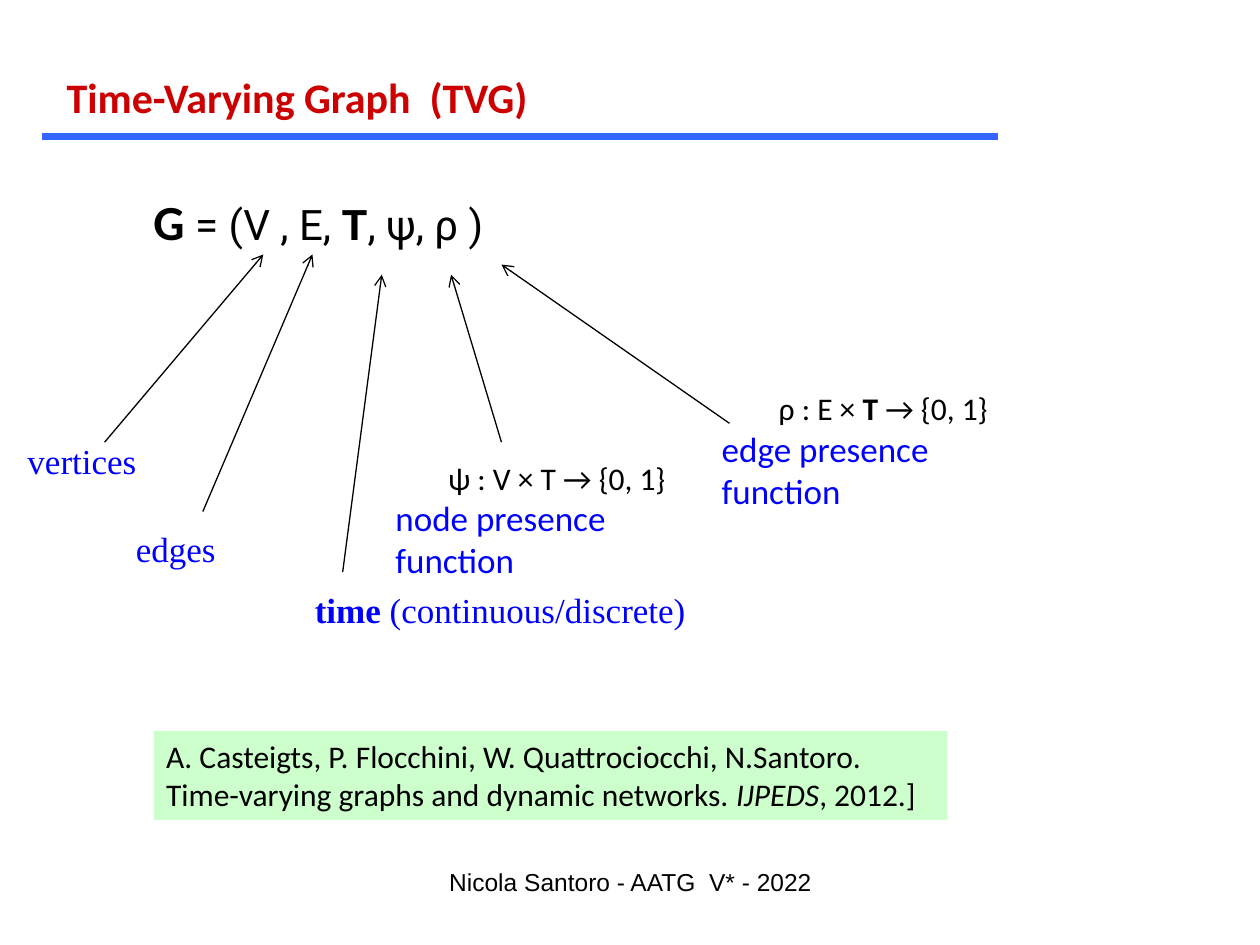
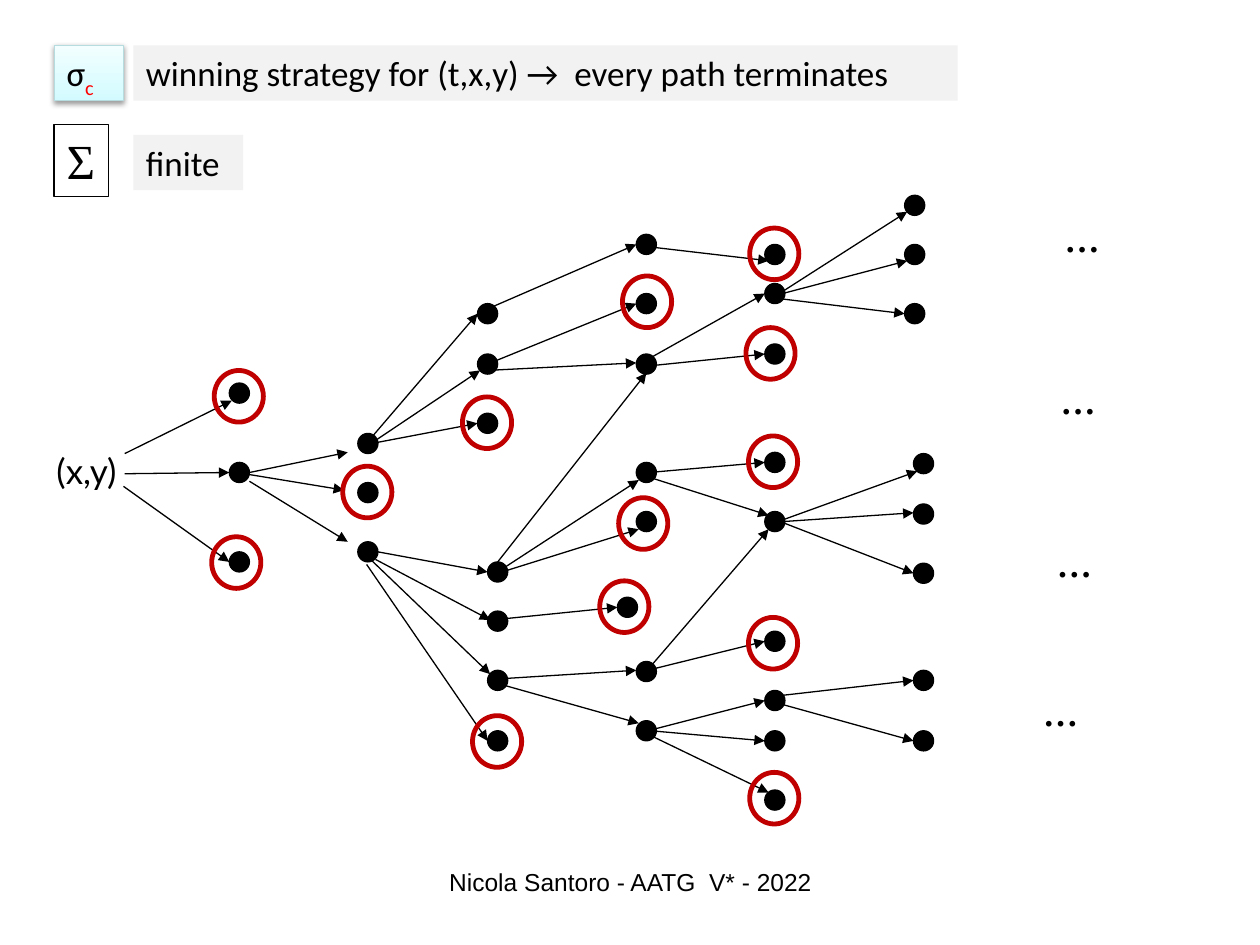
from lxml import etree
from pptx import Presentation
from pptx import util as u
from pptx.dml.color import RGBColor
from pptx.enum import shapes, text
from pptx.oxml import ns

PX = 9144  # EMU in one px, 100 px to the inch
COLORS = {
    "ink": "000000", "title": "CC0000", "rule": "3366FF", "label": "0000FF",
    "citation": "CCFFCC", "panel": "F2F2F2", "ring": "C00000", "subscript": "FF0000",
    "badge_low": "D3FBFF", "badge_high": "F2FEFF", "badge_edge": "B6DCDF",
}
FOOTER = "Nicola Santoro - AATG  V* - 2022"
LEFT, CENTER = text.PP_ALIGN.LEFT, text.PP_ALIGN.CENTER
DOT = 16
RING_WIDTH, RING_HEIGHT = 39, 41

# Tree nodes: left edge of each column, then the tops of its dots
DOT_COLUMNS = [
    (182, [304, 367, 438]),
    (284, [344, 383, 430]),
    (379, [241, 281, 328]),
    (387, [446, 485, 532, 580]),
    (490, [474]),
    (505, [186, 233, 281, 367, 406, 525, 572]),
    (607, [194, 225, 273, 359, 406, 501, 548, 580, 627]),
    (718, [155, 194, 241]),
    (725, [360, 400, 447, 532, 580]),
]
# Tree edges, level by level: start x, start y, end x, end y
EDGES = [
    (99, 360, 184, 318), (99, 376, 182, 375), (98, 386, 182, 446),

    (198, 375, 276, 359), (194, 376, 273, 389), (198, 382, 276, 430),

    (295, 347, 379, 249), (287, 357, 381, 294), (295, 352, 379, 336),
    (300, 438, 387, 454), (298, 444, 389, 492), (292, 442, 389, 535),
    (291, 448, 387, 588),

    (392, 243, 505, 194), (382, 291, 505, 241), (387, 294, 505, 288),
    (395, 446, 513, 296), (398, 452, 507, 381), (395, 455, 507, 420),
    (401, 491, 490, 482), (393, 539, 505, 532), (397, 543, 507, 574),

    (516, 196, 610, 207), (518, 283, 607, 233), (519, 290, 607, 281),
    (515, 375, 607, 367), (516, 379, 610, 409), (518, 527, 610, 420),
    (518, 531, 607, 509), (518, 579, 607, 556), (517, 580, 607, 588),
    (519, 585, 610, 629),

    (617, 234, 720, 168), (621, 233, 720, 207), (610, 236, 718, 249),
    (623, 412, 728, 374), (621, 414, 725, 407), (622, 415, 725, 455),
    (611, 553, 725, 540), (617, 558, 725, 588),
]
# Rings around the terminating nodes: left, top
RINGS = [
    (170, 294), (168, 426), (272, 370), (367, 315), (375, 568),
    (494, 219), (491, 395), (476, 461), (595, 181), (592, 260),
    (594, 346), (594, 490), (595, 613),
]
CONTINUATIONS = [(835, 168), (832, 296), (829, 426), (818, 544)]


def px(*lengths):
    return [length * PX for length in lengths]


def rgb(name):
    return RGBColor.from_string(COLORS[name])


def write(paragraph, runs, face, size, color="ink", align=LEFT):
    """Add runs given as (words, overrides); overrides are font settings."""
    paragraph.alignment = align
    for words, overrides in runs:
        style = {"name": face, "size": size, "color": color, "bold": False, **overrides}
        run = paragraph.add_run()
        run.text = words
        run.font.name = style["name"]
        run.font.size = u.Pt(style["size"])
        run.font.bold = style["bold"]
        run.font.italic = style.get("italic", False)
        run.font.color.rgb = rgb(style["color"])
        if "baseline" in style:
            run.font._element.set("baseline", str(style["baseline"]))


def prepare_frame(shape):
    frame = shape.text_frame
    frame.word_wrap = True
    frame.vertical_anchor = text.MSO_ANCHOR.TOP
    return frame


def add_label(slide, box, runs, face, size, color="ink", align=LEFT):
    frame = prepare_frame(slide.shapes.add_textbox(*px(*box)))
    write(frame.paragraphs[0], runs, face, size, color, align)


def add_preset(slide, preset, box, fill=None, edge=None, weight=0.75):
    shape = slide.shapes.add_shape(preset, *px(*box))
    shape.shadow.inherit = False
    if fill:
        shape.fill.solid()
        shape.fill.fore_color.rgb = rgb(fill)
    else:
        shape.fill.background()
    if edge:
        shape.line.color.rgb = rgb(edge)
        shape.line.width = u.Pt(weight)
    else:
        shape.line.fill.background()
    return shape


def add_panel(slide, box, lines, face, size, fill=None, edge=None):
    panel = add_preset(slide, shapes.MSO_SHAPE.RECTANGLE, box, fill, edge)
    frame = prepare_frame(panel)
    for index, runs in enumerate(lines):
        paragraph = frame.add_paragraph() if index else frame.paragraphs[0]
        write(paragraph, runs, face, size)
    return panel


def add_line(slide, ends, color="ink", weight=0.75, head=None):
    line = slide.shapes.add_connector(shapes.MSO_CONNECTOR.STRAIGHT, *px(*ends))
    line.line.color.rgb = rgb(color)
    line.line.width = u.Pt(weight)
    if head:
        etree.SubElement(line.line._get_or_add_ln(), ns.qn("a:tailEnd"), type=head)
    etree.SubElement(line._element.spPr, ns.qn("a:effectLst"))


def add_ellipse(slide, box, **look):
    add_preset(slide, shapes.MSO_SHAPE.OVAL, box, **look)


def add_presence_function(slide, left, top, signature, meaning):
    """Add a function's signature, set a little left of centre, above its meaning."""
    frame = prepare_frame(slide.shapes.add_textbox(*px(left, top, 300, 74)))
    first = frame.paragraphs[0]
    write(first, signature, "Calibri", 18, align=CENTER)
    first._p.get_or_add_pPr().set("marR", str(24 * PX))
    write(frame.add_paragraph(), [(meaning, {})], "Calibri", 20, "label")


def add_strategy_badge(slide):
    badge = add_panel(slide, (43, 36, 55, 44),
                      [[("σ", {}), ("c", {"color": "subscript", "baseline": -25000})]],
                      "Calibri", 20, "panel", "badge_edge")
    badge.fill.gradient()
    badge.fill.gradient_angle = 90
    for stop, tint in zip(badge.fill.gradient_stops, ("badge_low", "badge_high")):
        stop.color.rgb = rgb(tint)
    effects = badge._element.spPr.find(ns.qn("a:effectLst"))
    shadow = etree.SubElement(effects, ns.qn("a:outerShdw"), blurRad=str(u.Pt(3.1)),
                              dist=str(u.Pt(1.6)), dir="5400000", rotWithShape="0")
    shade = etree.SubElement(shadow, ns.qn("a:srgbClr"), val=COLORS["ink"])
    etree.SubElement(shade, ns.qn("a:alpha"), val="38000")


def add_slide(deck):
    slide = deck.slides.add_slide(deck.slide_layouts[6])
    add_label(slide, (342, 683, 317, 50), [(FOOTER, {})], "Arial", 14, align=CENTER)
    return slide


def build_definition(deck):
    slide = add_slide(deck)
    bold = {"bold": True}
    add_line(slide, (33, 108, 792, 108), "rule", 4)
    add_label(slide, (43, 52, 450, 50), [("Time-Varying Graph  (TVG)", bold)],
              "Calibri", 24, "title")
    add_label(slide, (112, 147, 340, 91),
              [("G", {"name": "Calibri", "size": 28, "bold": True}), (" = (V , E, ", {}),
               ("T", bold), (", ψ, ρ )", {})], "Roboto", 24)
    for arrow in [(83, 351, 209, 202), (161, 406, 248, 202), (272, 454, 303, 218),
                  (398, 351, 358, 218), (579, 336, 398, 210)]:
        add_line(slide, arrow, head="arrow")

    for left, top, width, runs in [
        (12, 344, 120, [("vertices", {})]),
        (98, 414, 100, [("edges", {})]),
        (240, 462, 340, [("time", bold), (" (continuous/discrete)", {})]),
    ]:
        add_label(slide, (left, top, width, 44), runs, "Times New Roman", 20, "label")

    add_presence_function(slide, 563, 304,
                          [("ρ : E × ", {}), ("T", bold), (" → {0, 1}", {})],
                          "edge presence function")
    add_presence_function(slide, 304, 359, [("ψ : V × T → {0, 1}", {})],
                          "node presence function")
    add_panel(slide, (122, 580, 630, 71),
              [[("A. Casteigts, P. Flocchini, W. Quattrociocchi, N.Santoro.", {})],
               [("Time-varying graphs and dynamic networks. ", {}),
                ("IJPEDS", {"italic": True}), (", 2012.]", {})]],
              "Calibri", 18, "citation")


def build_strategy_tree(deck):
    slide = add_slide(deck)
    add_panel(slide, (106, 36, 654, 44),
              [[("winning strategy for (t,x,y) →  every path terminates", {})]],
              "Calibri", 20, "panel")
    add_label(slide, (35, 352, 76, 44), [("(x,y)", {})], "Lato", 20)

    for left, tops in DOT_COLUMNS:
        for top in tops:
            add_ellipse(slide, (left, top, DOT, DOT), fill="ink", edge="ink")
    for edge in EDGES:
        add_line(slide, edge, head="triangle")
    for left, top in RINGS:
        add_ellipse(slide, (left, top, RING_WIDTH, RING_HEIGHT), edge="ring", weight=2.75)
    for left, top in CONTINUATIONS:
        add_label(slide, (left, top, 48, 44), [("…", {"bold": True})], "Times New Roman", 20)

    add_panel(slide, (43, 99, 43, 57), [[("Σ", {})]], "Times New Roman", 28, edge="ink")
    add_strategy_badge(slide)
    add_panel(slide, (106, 107, 87, 44), [[("finite", {})]], "Calibri", 20, "panel")


def main():
    deck = Presentation()
    deck.slide_width, deck.slide_height = px(1000, 750)
    build_definition(deck)
    build_strategy_tree(deck)
    deck.save("out.pptx")


if __name__ == "__main__":
    main()
